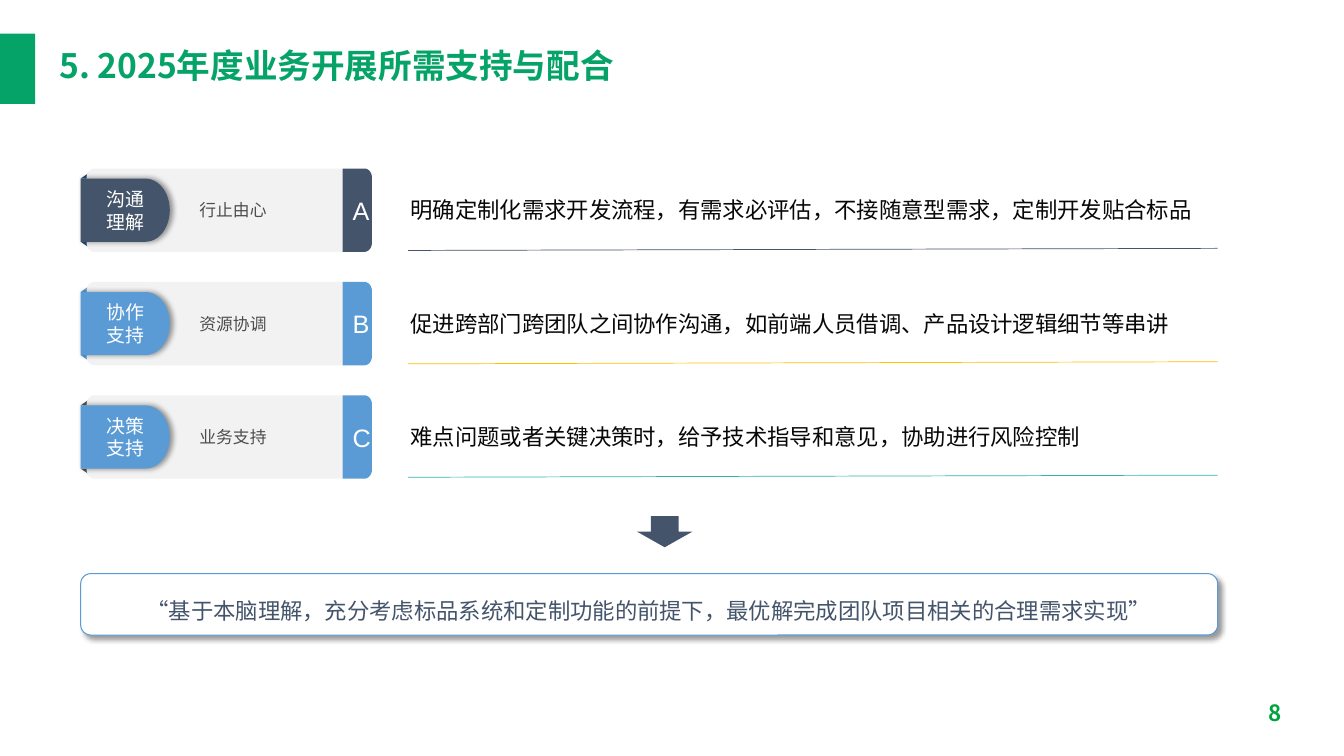
import math
from dataclasses import dataclass

import pptx
import pptx.dml.color
import pptx.enum.shapes
import pptx.enum.text
import pptx.oxml
import pptx.oxml.ns
import pptx.util

Pt = pptx.util.Pt
SHAPE = pptx.enum.shapes.MSO_SHAPE
ALIGN = pptx.enum.text.PP_ALIGN
ANCHOR = pptx.enum.text.MSO_ANCHOR

COLORS = {
    "green": "05A367", "page": "00A340", "slate": "44546A", "blue": "5B9BD5",
    "navy": "1F4E79", "gray": "525252", "panel": "F2F2F2", "label": "4D4D4D",
    "ink": "080808", "gold": "FFC000", "teal": "32B3B3", "white": "FFFFFF",
    "black": "000000",
}
HEADING_FONT = "Noto Sans CJK SC"
BODY_FONT = "Arial"
ROW_TOP, ROW_PITCH, ROW_HEIGHT = 120.4, 81, 59.5
TAG_INSET = 7.2
DETAIL_LEFT, DETAIL_WIDTH = 291.6, 578.2


@dataclass
class SupportRow:
    letter: str
    tag: str
    label: str
    detail: str
    color: str
    fold: str
    rule: str


ROWS = [
    SupportRow("A", "沟通\n理解", "行止由心",
               "明确定制化需求开发流程，有需求必评估，不接随意型需求，定制开发贴合标品",
               "slate", "navy", "slate"),
    SupportRow("B", "协作\n支持", "资源协调",
               "促进跨部门跨团队之间协作沟通，如前端人员借调、产品设计逻辑细节等串讲",
               "blue", "blue", "gold"),
    SupportRow("C", "决策\n支持", "业务支持",
               "难点问题或者关键决策时，给予技术指导和意见，协助进行风险控制",
               "blue", "gray", "teal"),
]


def rgb(name: str) -> pptx.dml.color.RGBColor:
    return pptx.dml.color.RGBColor.from_string(COLORS[name])


def paint(s, fill: str = "", line: str = "") -> None:
    """Fill and outline a shape; an empty name means none."""
    s.shadow.inherit = False
    if fill:
        s.fill.solid()
        s.fill.fore_color.rgb = rgb(fill)
    else:
        s.fill.background()
    if line:
        s.line.color.rgb = rgb(line)
        s.line.width = Pt(0.75)
    else:
        s.line.fill.background()


def cast_shadow(s, distance: float, angle: int) -> None:
    effects = s._element.spPr.find(pptx.oxml.ns.qn("a:effectLst"))
    effects.append(pptx.oxml.parse_xml(
        f'<a:outerShdw {pptx.oxml.ns.nsdecls("a")} blurRad="{Pt(4)}" '
        f'dist="{Pt(distance)}" dir="{angle * 60000}" algn="ctr" rotWithShape="0">'
        f'<a:srgbClr val="{COLORS["black"]}"><a:alpha val="40000"/></a:srgbClr>'
        '</a:outerShdw>'))


def write(s, text: str, size: float, color: str, font: str = BODY_FONT,
          bold: bool = False, align=ALIGN.LEFT, spacing: float = 1.0,
          left: float = 7.2, right: float = 7.2, anchor=ANCHOR.MIDDLE) -> None:
    tf = s.text_frame
    tf.text = text
    tf.word_wrap = True
    tf.vertical_anchor = anchor
    tf.margin_left, tf.margin_right = Pt(left), Pt(right)
    for p in tf.paragraphs:
        p.alignment = align
        p.line_spacing = spacing
        for r in p.runs:
            r.font.size = Pt(size)
            r.font.name = font
            r.font.bold = bold
            r.font.color.rgb = rgb(color)
            if font == HEADING_FONT:
                ea = r.font._element.makeelement(
                    pptx.oxml.ns.qn("a:ea"), {"typeface": font})
                r.font._element.append(ea)


def add_shape(shapes, kind, x: float, y: float, w: float, h: float,
              fill: str = "", line: str = ""):
    s = shapes.add_shape(kind, Pt(x), Pt(y), Pt(w), Pt(h))
    paint(s, fill, line)
    return s


def add_outline(shapes, contours: list, fill: str):
    """Draw one freeform from closed contours of (x, y) points."""
    contours = [[(Pt(x), Pt(y)) for x, y in c] for c in contours]
    builder = shapes.build_freeform(*contours[0][0], scale=1.0)
    for i, contour in enumerate(contours):
        if i:
            builder.move_to(*contour[0])
        builder.add_line_segments(contour[1:], close=True)
    s = builder.convert_to_shape()
    paint(s, fill)
    return s


def round_side(flat_x: float, round_x: float, y: float, h: float,
               rx: float, ry: float) -> list:
    """Box with square corners at flat_x and elliptical ones at round_x."""
    side = 1 if round_x > flat_x else -1
    points = [(flat_x, y)]
    for cy, start in ((y + ry, -90), (y + h - ry, 0)):
        for step in range(13):
            a = math.radians(start + step * 7.5)
            points.append((round_x + side * rx * (math.cos(a) - 1),
                           cy + ry * math.sin(a)))
    return points + [(flat_x, y + h)]


def add_banner(slide, row: SupportRow, top: float) -> None:
    shapes = slide.shapes.add_group_shape().shapes
    tag_top, tag_height = top + TAG_INSET, ROW_HEIGHT - 2 * TAG_INSET
    tag_bottom = tag_top + tag_height
    # Folded corners behind the tag
    add_outline(shapes, [
        [(57.6, tag_bottom), (66.2, tag_bottom), (66.2, tag_bottom + 6)],
        [(66.2, tag_top - 6), (66.2, tag_top), (57.6, tag_top)],
    ], row.fold)
    # Panel, tag and letter tab
    panel = add_outline(
        shapes, [round_side(244.8, 61.9, top, ROW_HEIGHT, 5.4, 6.5)], "panel")
    write(panel, row.label, 12, "label", left=80.6, right=6.5)
    tag = add_outline(
        shapes, [round_side(57.6, 121.3, tag_top, tag_height, 17.4, tag_height / 2)],
        row.color)
    cast_shadow(tag, 2, 0)
    write(tag, row.tag, 13.5, "white", align=ALIGN.CENTER)
    tab = add_outline(
        shapes, [round_side(244.8, 265.7, top, ROW_HEIGHT, 5.4, 6.5)], row.color)
    write(tab, row.letter, 18, "white", align=ALIGN.CENTER)


def add_detail(slide, row: SupportRow, top: float) -> None:
    s = add_shape(slide.shapes, SHAPE.ROUNDED_RECTANGLE,
                  DETAIL_LEFT, top + 12.6, DETAIL_WIDTH, 34)
    write(s, row.detail, 16, "ink", left=0, right=0)
    rule = slide.shapes.add_connector(
        pptx.enum.shapes.MSO_CONNECTOR.STRAIGHT, Pt(DETAIL_LEFT), Pt(top + 58.5),
        Pt(DETAIL_LEFT + DETAIL_WIDTH), Pt(top + 57))
    rule.line.color.rgb = rgb(row.rule)
    rule.line.width = Pt(0.5)
    rule._element.spPr.append(pptx.oxml.parse_xml(
        f'<a:effectLst {pptx.oxml.ns.nsdecls("a")}/>'))


def main() -> None:
    prs = pptx.Presentation()
    prs.slide_width, prs.slide_height = Pt(960), Pt(540)
    slide = prs.slides.add_slide(prs.slide_layouts[6])

    # Heading and page number
    add_shape(slide.shapes, SHAPE.RECTANGLE, 0, 24, 25.2, 50.2, "green")
    title = slide.shapes.add_textbox(Pt(35.3), Pt(31.7), Pt(890.6), Pt(33.1))
    write(title, "5. 2025年度业务开展所需支持与配合", 24, "green",
          HEADING_FONT, bold=True, spacing=0.9)
    title.text_frame.paragraphs[0].space_before = Pt(10)
    page = slide.shapes.add_textbox(Pt(899.3), Pt(496.1), Pt(36.7), Pt(26.6))
    write(page, "8", 16, "page", HEADING_FONT, bold=True, anchor=ANCHOR.TOP)

    # Support rows
    for i, row in enumerate(ROWS):
        top = ROW_TOP + i * ROW_PITCH
        add_banner(slide, row, top)
        add_detail(slide, row, top)

    # Arrow and conclusion
    add_shape(slide.shapes, SHAPE.DOWN_ARROW, 455, 368.6, 39.6, 22.3, "slate")
    goal = add_shape(slide.shapes, SHAPE.ROUNDED_RECTANGLE,
                     57.6, 409.7, 812.2, 43.9, "white", "blue")
    cast_shadow(goal, 3, 45)
    write(goal, "“基于本脑理解，充分考虑标品系统和定制功能的前提下，最优解完成团队项目相关的合理需求实现”",
          16, "slate", align=ALIGN.CENTER, spacing=1.5)

    prs.save("out.pptx")


if __name__ == "__main__":
    main()
